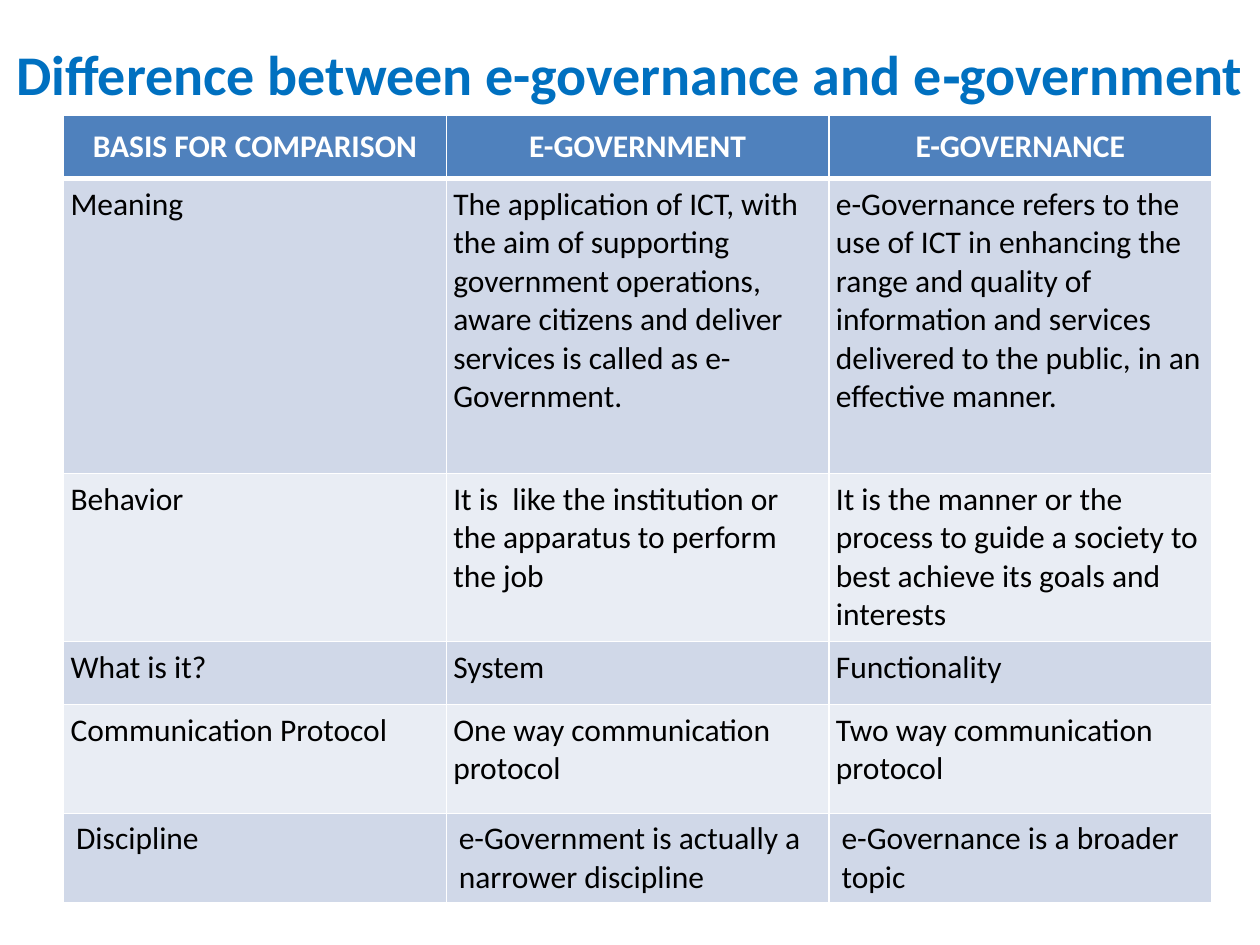
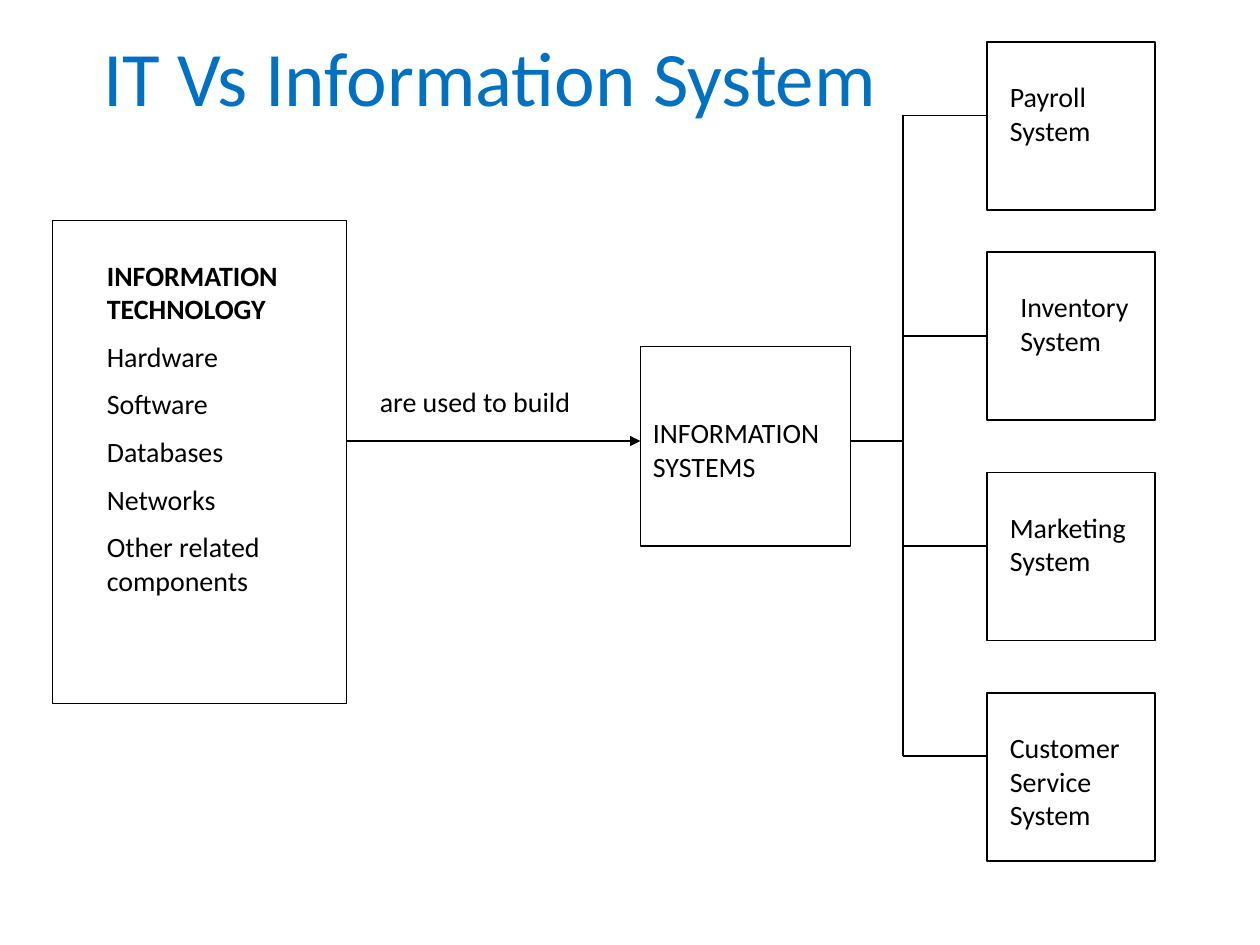
"""Build two slides: e-governance against e-government, and IT against information systems."""
from lxml import etree
from pptx import Presentation
from pptx.dml.color import RGBColor
from pptx.enum.shapes import MSO_CONNECTOR, MSO_SHAPE
from pptx.enum.text import MSO_ANCHOR, PP_ALIGN
from pptx.oxml.ns import qn
from pptx.util import Pt

CENTER, LEFT = PP_ALIGN.CENTER, PP_ALIGN.LEFT
MIDDLE, TOP = MSO_ANCHOR.MIDDLE, MSO_ANCHOR.TOP
STRAIGHT, RECT = MSO_CONNECTOR.STRAIGHT, MSO_SHAPE.RECTANGLE
FONT = "Calibri"
COLORS = {
    "title": "0070C0",
    "header": "4F81BD",
    "odd": "D0D8E8",
    "even": "E9EDF4",
    "white": "FFFFFF",
    "black": "000000",
}


def style(p, size, color, bold=False, align=LEFT):
    """Set the font and alignment of a paragraph."""
    p.alignment = align
    p.font.name = FONT
    p.font.size = Pt(size)
    p.font.bold = bold
    p.font.color.rgb = RGBColor.from_string(COLORS[color])


def add_text(s, box, lines, size=16, color="black", bold_first=False, align=LEFT, anchor=TOP):
    """Add a wrapping text box with one paragraph per line."""
    tf = s.shapes.add_textbox(*map(Pt, box)).text_frame
    tf.word_wrap = True
    tf.vertical_anchor = anchor
    for i, line in enumerate(lines):
        p = tf.add_paragraph() if i else tf.paragraphs[0]
        p.text = line
        if i:
            p.space_before = Pt(8)
        style(p, size, color, bold_first and i == 0, align)


prs = Presentation()
prs.slide_width, prs.slide_height = Pt(720), Pt(540)
blank = prs.slide_layouts[6]

s = prs.slides.add_slide(blank)
add_text(s, (0, 12, 720, 60), ["Difference between e-governance and e‐government"],
         32, "title", True, CENTER, MIDDLE)

rows = [
    ("BASIS FOR COMPARISON", "E-GOVERNMENT", "E-GOVERNANCE"),
    ("Meaning",
     "The application of ICT, with the aim of supporting government operations, "
     "aware citizens and deliver services is called as e-Government.",
     "e-Governance refers to the use of ICT in enhancing the range and quality of "
     "information and services delivered to the public, in an effective manner."),
    ("Behavior",
     "It is  like the institution or the apparatus to perform the job",
     "It is the manner or the process to guide a society to best achieve its goals and interests"),
    ("What is it?", "System", "Functionality"),
    ("Communication Protocol", "One way communication protocol", "Two way communication protocol"),
    ("Discipline", "e-Government is actually a narrower discipline", "e-Governance is a broader topic"),
]
heights = [36, 168.5, 96, 36, 62.5, 51]
table = s.shapes.add_table(len(rows), 3, Pt(36.3), Pt(66), Pt(656.1), Pt(sum(heights))).table
for column in table.columns:
    column.width = Pt(218.7)
for i, (row, height) in enumerate(zip(rows, heights)):
    table.rows[i].height = Pt(height)
    header, last = i == 0, i == len(rows) - 1
    fill = "header" if header else "odd" if i % 2 else "even"
    for j, text in enumerate(row):
        cell = table.cell(i, j)
        cell.text = text
        cell.vertical_anchor = MIDDLE if header else TOP
        cell.margin_left = cell.margin_right = Pt(7.2 if last else 4)
        cell.margin_top = cell.margin_bottom = Pt(3.6 if last else 4)
        style(cell.text_frame.paragraphs[0], 18, "white" if header else "black",
              header, CENTER if header else LEFT)
        tcPr = cell._tc.get_or_add_tcPr()
        for side in ("lnL", "lnR", "lnT", "lnB"):
            thick = (header and side == "lnB") or (i == 1 and side == "lnT")
            ln = etree.SubElement(tcPr, qn(f"a:{side}"), w=str(Pt(3 if thick else 1)))
            solid = etree.SubElement(ln, qn("a:solidFill"))
            etree.SubElement(solid, qn("a:srgbClr"), val=COLORS["white"])
        cell.fill.solid()
        cell.fill.fore_color.rgb = RGBColor.from_string(COLORS[fill])

s = prs.slides.add_slide(blank)
add_text(s, (22, 11.5, 516, 63), ["IT Vs Information System"], 44, "title",
         align=CENTER, anchor=MIDDLE)

black = RGBColor.from_string(COLORS["black"])
trunk_x, system_x, system_size, flow_y = 516, 564, 96, 252
systems = [
    ("Payroll System", 24, 66, 570, 84),
    ("Inventory System", 144, 192, 576, 78),
    ("Marketing System", 270, 312, 570, 84),
    ("Customer Service System", 396, 432, 570, 84),
]
boxes = [(30, 126, 168, 276), (366, 198, 120, 114)]
boxes += [(system_x, top, system_size, system_size) for _, top, *_ in systems]
for box in boxes:
    sp = s.shapes.add_shape(RECT, *map(Pt, box))
    sp.shadow.inherit = False
    sp.fill.background()
    sp.line.color.rgb = black
    sp.line.width = Pt(0.75)

branch_ys = [branch_y for _, _, branch_y, *_ in systems]
lines = [
    (198, flow_y, 366, flow_y),
    (486, flow_y, trunk_x, flow_y),
    (trunk_x, branch_ys[0], trunk_x, branch_ys[-1]),
]
lines += [(trunk_x, y, system_x, y) for y in branch_ys]
for i, line in enumerate(lines):
    connector = s.shapes.add_connector(STRAIGHT, *map(Pt, line))
    connector.line.color.rgb = black
    connector.line.width = Pt(0.75)
    if i == 0:
        etree.SubElement(connector.line._get_or_add_ln(), qn("a:tailEnd"), type="triangle")
    etree.SubElement(connector._element.spPr, qn("a:effectLst"))

add_text(s, (54, 144, 156, 210),
         ["INFORMATION TECHNOLOGY", "Hardware", "Software", "Databases", "Networks",
          "Other related components"], bold_first=True)
add_text(s, (210, 216, 150, 27), ["are used to build"])
add_text(s, (366, 234, 132, 46), ["INFORMATION SYSTEMS"])
for name, top, _, left, width in systems:
    add_text(s, (left, top + 18, width, 46), [name])

prs.save("out.pptx")
